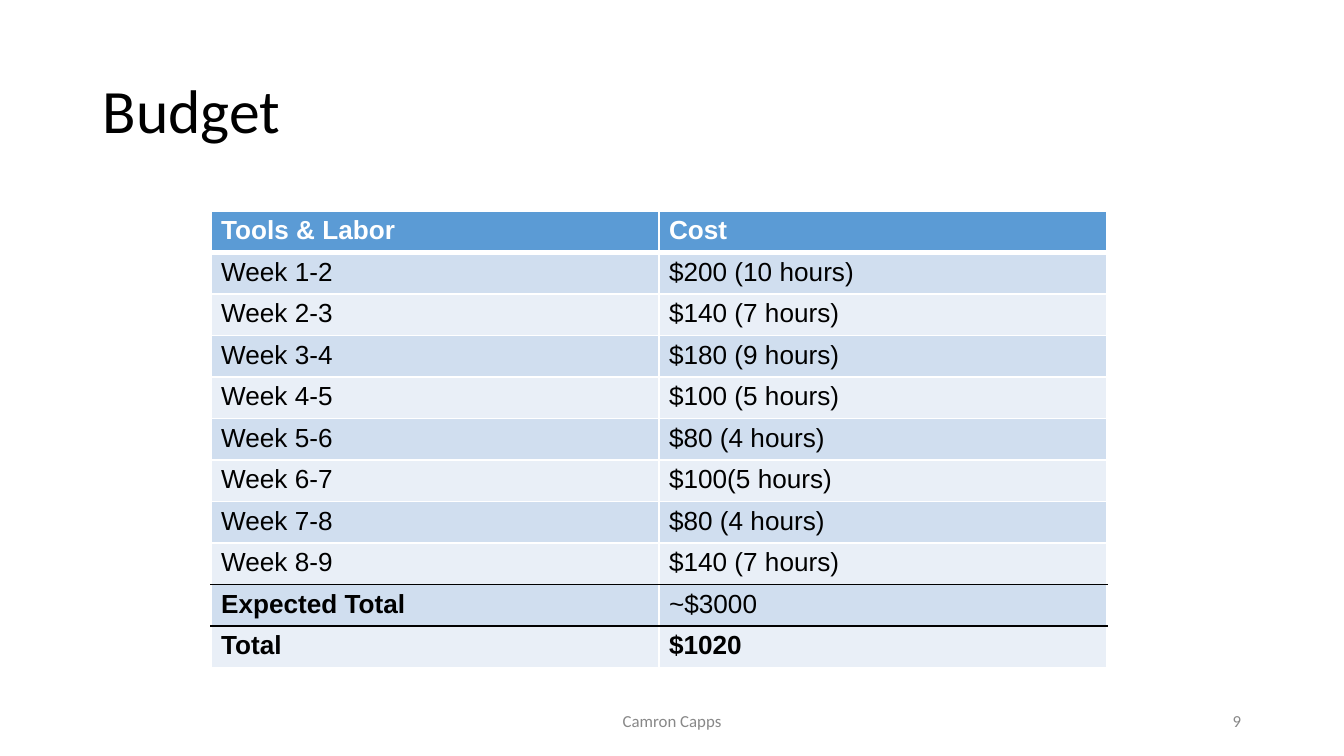
from lxml import etree
from pptx import Presentation
from pptx.dml.color import RGBColor
from pptx.enum.text import MSO_ANCHOR, PP_ALIGN
from pptx.oxml.ns import qn
from pptx.util import Inches, Pt

LEFT, CENTER, RIGHT = PP_ALIGN.LEFT, PP_ALIGN.CENTER, PP_ALIGN.RIGHT
MIDDLE = MSO_ANCHOR.MIDDLE

WIDTH = 10
HEIGHT = WIDTH * 9 / 16
MARGIN = 0.69
ROW_HEIGHT, COLUMN_WIDTH = 0.3, WIDTH / 3
TABLE_LEFT, TABLE_TOP = 1.57, 1.57
FOOTER_TOP, FOOTER_HEIGHT = 5.21, 0.3
SIDE_INSET, END_INSET = Pt(5.4), Pt(2.7)

COLORS = {
    "black": "000000",
    "white": "FFFFFF",
    "gray": "888888",
    "header": "5B9BD5",
    "dark band": "D0DEEF",
    "light band": "E9EFF7",
}

BUDGET = [
    ("Tools & Labor", "Cost"),
    ("Week 1-2", "$200 (10 hours)"),
    ("Week 2-3", "$140 (7 hours)"),
    ("Week 3-4", "$180 (9 hours)"),
    ("Week 4-5", "$100 (5 hours)"),
    ("Week 5-6", "$80 (4 hours)"),
    ("Week 6-7", "$100(5 hours)"),
    ("Week 7-8", "$80 (4 hours)"),
    ("Week 8-9", "$140 (7 hours)"),
    ("Expected Total", "~$3000"),
    ("Total", "$1020"),
]
BOLD_TEXTS = {*BUDGET[0], "Expected Total", *BUDGET[-1]}


def color(name):
    return RGBColor.from_string(COLORS[name])


def set_insets(holder):
    holder.margin_left = holder.margin_right = SIDE_INSET
    holder.margin_top = holder.margin_bottom = END_INSET


def write_text(frame, text, size, font="Calibri", ink="black", bold=False,
               align=LEFT, line_spacing=1.0):
    para = frame.paragraphs[0]
    para.alignment = align
    para.line_spacing = line_spacing
    span = para.add_run()
    span.text = text
    span.font.name = font
    span.font.size = Pt(size)
    span.font.bold = bold
    span.font.color.rgb = color(ink)


def add_text_box(page, left, top, width, height, text, **text_format):
    box = page.shapes.add_textbox(*map(Inches, (left, top, width, height)))
    frame = box.text_frame
    frame.word_wrap = True
    frame.vertical_anchor = MIDDLE
    set_insets(frame)
    write_text(frame, text, **text_format)


def set_borders(cell, top, bottom):
    properties = cell._tc.get_or_add_tcPr()
    side = ("white", 1)
    edges = {"lnL": side, "lnR": side, "lnT": top, "lnB": bottom}
    for position, (tag, (ink, points)) in enumerate(edges.items()):
        line = etree.Element(qn(f"a:{tag}"), w=str(int(Pt(points))))
        fill = etree.SubElement(line, qn("a:solidFill"))
        etree.SubElement(fill, qn("a:srgbClr"), val=COLORS[ink])
        properties.insert(position, line)


def rule_below(row):
    if row == 0:
        return "white", 3
    if row in (len(BUDGET) - 3, len(BUDGET) - 2):
        return "black", 1
    return "white", 1


def row_fill(row):
    if row == 0:
        return "header"
    return "dark band" if row % 2 else "light band"


def add_budget_table(page):
    rows, columns = len(BUDGET), len(BUDGET[0])
    table = page.shapes.add_table(
        rows, columns, Inches(TABLE_LEFT), Inches(TABLE_TOP),
        Inches(columns * COLUMN_WIDTH), Inches(rows * ROW_HEIGHT)).table
    for column in table.columns:
        column.width = Inches(COLUMN_WIDTH)
    for row, texts in enumerate(BUDGET):
        table.rows[row].height = Inches(ROW_HEIGHT)
        for column, text in enumerate(texts):
            cell = table.cell(row, column)
            set_insets(cell)
            cell.fill.solid()
            cell.fill.fore_color.rgb = color(row_fill(row))
            set_borders(cell, rule_below(row - 1), rule_below(row))
            write_text(cell.text_frame, text, size=14, font="Arial",
                       ink="black" if row else "white",
                       bold=text in BOLD_TEXTS)


def add_footer(page, left, width, text, align):
    add_text_box(page, left, FOOTER_TOP, width, FOOTER_HEIGHT, text,
                 size=9, ink="gray", align=align)


def main():
    deck = Presentation()
    deck.slide_width, deck.slide_height = Inches(WIDTH), Inches(HEIGHT)
    page = deck.slides.add_slide(deck.slide_layouts[6])
    add_text_box(page, MARGIN, 0.3, WIDTH - 2 * MARGIN, 1.09, "Budget",
                 size=33, line_spacing=0.9)
    add_budget_table(page)
    add_footer(page, 3.31, 3.38, "Camron Capps", CENTER)
    add_footer(page, WIDTH - MARGIN - 2.25, 2.25, "9", RIGHT)
    deck.save("out.pptx")


if __name__ == "__main__":
    main()
